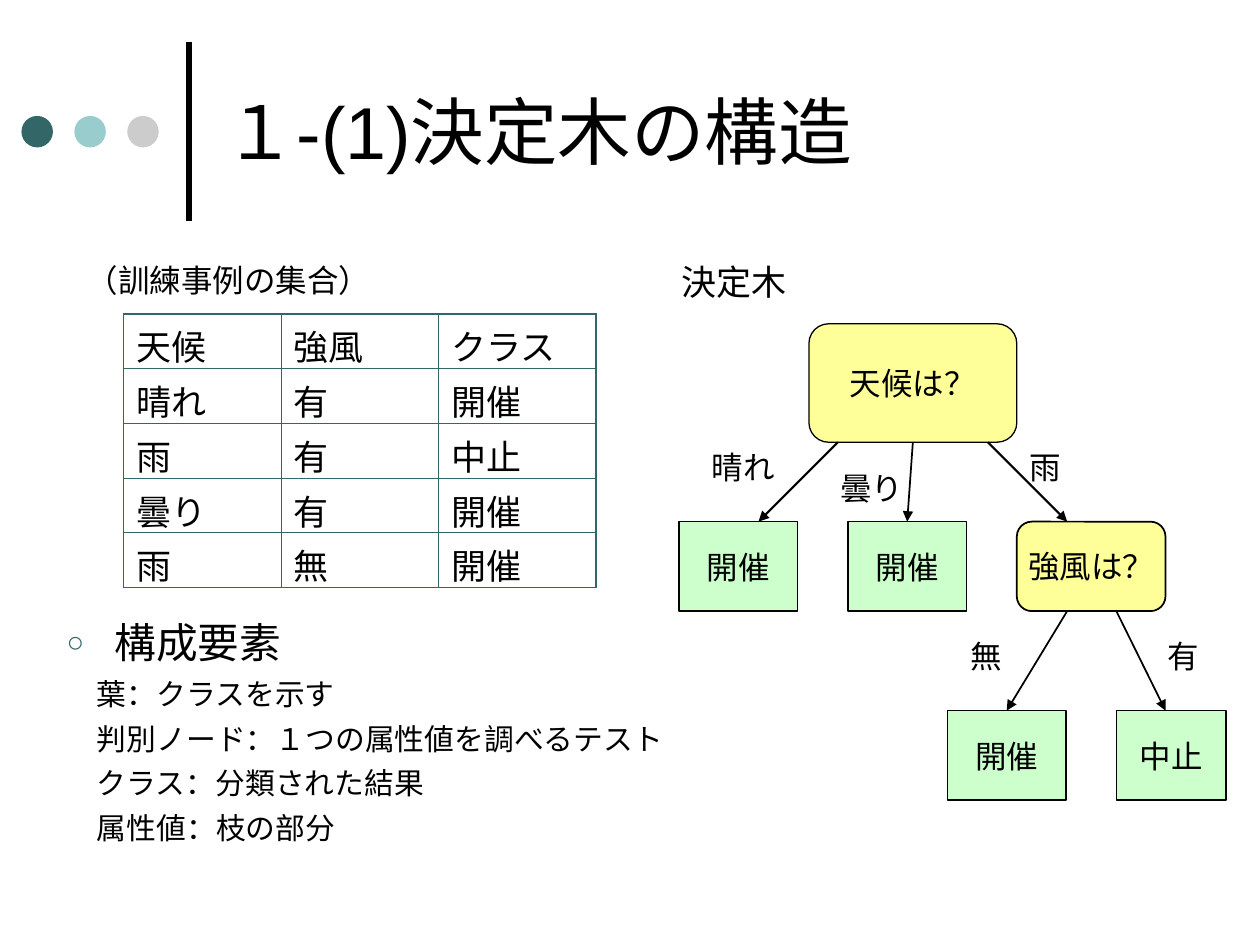
from lxml import etree
from pptx import Presentation
from pptx.dml.color import RGBColor
from pptx.enum.shapes import MSO_CONNECTOR, MSO_SHAPE
from pptx.enum.text import MSO_ANCHOR, MSO_AUTO_SIZE, PP_ALIGN
from pptx.oxml.ns import qn
from pptx.util import Inches, Pt

COLORS = {
    "ink": "000000",
    "teal": "336666",
    "aqua": "99CCCC",
    "gray": "CCCCCC",
    "question": "FFFF99",
    "leaf": "CCFFCC",
}
FONT = "Arial"
TITLE_ONLY = 5
BOTTOM, TOP = 2, 0


def rgb(name):
    return RGBColor.from_string(COLORS[name])


def write(para, text, size=18, color="ink", align=PP_ALIGN.LEFT, before=0):
    para.alignment = align
    para.space_before = Pt(before)
    span = para.add_run()
    span.text = text
    span.font.name = FONT
    span.font.size = Pt(size)
    span.font.color.rgb = rgb(color)


def indent(para, left, first=0):
    props = para._p.get_or_add_pPr()
    props.set("marL", str(Inches(left)))
    props.set("indent", str(Inches(first)))
    return props


def add_bullet(para, char, color, percent):
    props = indent(para, 0.38, -0.38)
    bullet_color = etree.SubElement(props, qn("a:buClr"))
    etree.SubElement(bullet_color, qn("a:srgbClr"), val=COLORS[color])
    etree.SubElement(props, qn("a:buSzPct"), val=str(percent * 1000))
    etree.SubElement(props, qn("a:buFont"), typeface=FONT)
    etree.SubElement(props, qn("a:buChar"), char=char)


def set_borders(cell, widths, color):
    """Draw the cell's sides; widths are points for left, right, top, bottom."""
    props = cell._tc.get_or_add_tcPr()
    for index, (side, width) in enumerate(zip("LRTB", widths)):
        line = etree.Element(qn(f"a:ln{side}"), w=str(Pt(width)))
        fill = etree.SubElement(line, qn("a:solidFill"))
        etree.SubElement(fill, qn("a:srgbClr"), val=COLORS[color])
        props.insert(index, line)


class Page:
    def __init__(self, deck):
        self.slide = deck.slides.add_slide(deck.slide_layouts[TITLE_ONLY])
        self.shapes = self.slide.shapes

    def title(self, text, left, top, width, height):
        box = self.shapes.title
        box.left, box.top = Inches(left), Inches(top)
        box.width, box.height = Inches(width), Inches(height)
        frame = box.text_frame
        frame.auto_size = MSO_AUTO_SIZE.NONE
        frame.vertical_anchor = MSO_ANCHOR.MIDDLE
        write(frame.paragraphs[0], text, size=42)

    def text_box(self, left, top, width, height, grow=False):
        box = self.shapes.add_textbox(*map(Inches, (left, top, width, height)))
        frame = box.text_frame
        frame.word_wrap = True
        if grow:
            frame.auto_size = MSO_AUTO_SIZE.SHAPE_TO_FIT_TEXT
        return frame

    def label(self, text, left, top, width, height=0.4, **style):
        frame = self.text_box(left, top, width, height, grow=True)
        write(frame.paragraphs[0], text, **style)

    def shape(self, kind, left, top, width, height, fill, line=None):
        shape = self.shapes.add_shape(kind, *map(Inches, (left, top, width, height)))
        shape.shadow.inherit = False
        shape.fill.solid()
        shape.fill.fore_color.rgb = rgb(fill)
        if line:
            shape.line.color.rgb = rgb("ink")
            shape.line.width = Pt(line)
        else:
            shape.line.fill.background()
        return shape

    def node(self, text, left, top, width, height=0.71, question=False, line=0.75):
        kind = MSO_SHAPE.ROUNDED_RECTANGLE if question else MSO_SHAPE.RECTANGLE
        fill = "question" if question else "leaf"
        shape = self.shape(kind, left, top, width, height, fill, line)
        frame = shape.text_frame
        frame.word_wrap = False
        frame.vertical_anchor = MSO_ANCHOR.MIDDLE
        write(frame.paragraphs[0], text, align=PP_ALIGN.CENTER)
        return shape

    def line(self, start, end, width, arrow=False):
        line = self.shapes.add_connector(
            MSO_CONNECTOR.STRAIGHT, *map(Inches, (*start, *end)))
        line.line.color.rgb = rgb("ink")
        line.line.width = Pt(width)
        if arrow:
            etree.SubElement(line.line._get_or_add_ln(), qn("a:tailEnd"), type="triangle")
        etree.SubElement(line._element.spPr, qn("a:effectLst"))
        return line

    def table(self, rows, left, top, column_width, row_height):
        last_row, last_column = len(rows) - 1, len(rows[0]) - 1
        table = self.shapes.add_table(
            len(rows), len(rows[0]), Inches(left), Inches(top),
            Inches(column_width * len(rows[0])), Inches(row_height * len(rows))).table
        table.first_row = table.horz_banding = False
        for column in table.columns:
            column.width = Inches(column_width)
        for r, values in enumerate(rows):
            table.rows[r].height = Inches(row_height)
            for c, value in enumerate(values):
                cell = table.cell(r, c)
                cell.fill.background()
                outer = (c == 0, c == last_column, r == 0, r == last_row)
                set_borders(cell, [1.08 if edge else 0.45 for edge in outer], "teal")
                write(cell.text_frame.paragraphs[0], value, size=20, before=5)


def add_heading(page):
    page.line((1.5, 1.75), (1.5, 0.33), 3)
    for index, color in enumerate(("teal", "aqua", "gray")):
        page.shape(MSO_SHAPE.OVAL, 0.17 + 0.42 * index, 0.92, 0.25, 0.25, color)
    page.title("１-(1)決定木の構造", 1.67, 0.21, 6.01, 1.65)


def add_components(page):
    frame = page.text_box(0.43, 4.85, 5.35, 2.28)
    heading = frame.paragraphs[0]
    write(heading, "構成要素", size=23.8, before=7)
    add_bullet(heading, "○", "teal", 70)
    for text in ("葉：クラスを示す", "判別ノード：１つの属性値を調べるテスト",
                 "クラス：分類された結果", "属性値：枝の部分"):
        para = frame.add_paragraph()
        write(para, text, size=17, before=5)
        indent(para, 0.24)


def add_examples(page):
    page.label("（訓練事例の集合）", 0.59, 2.02, 2.54)
    page.table([
        ("天候", "強風", "クラス"),
        ("晴れ", "有", "開催"),
        ("雨", "有", "中止"),
        ("曇り", "有", "開催"),
        ("雨", "無", "開催"),
    ], 0.98, 2.49, 1.25, 0.435)


def add_tree(page):
    page.label("決定木", 5.31, 2.02, 4.02, 0.44, size=20)
    weather = page.node("天候は？", 6.42, 2.57, 1.65, 0.94, question=True)
    page.node("強風は？", 8.07, 4.14, 1.18, question=True, line=1)
    page.node("開催", 5.39, 4.14, 0.94)
    cloudy_leaf = page.node("開催", 6.73, 4.14, 0.94)
    calm_leaf = page.node("開催", 7.52, 5.64, 0.94)
    page.node("中止", 8.86, 5.64, 0.87)

    page.line((6.65, 3.51), (6.02, 4.14), 1.25, arrow=True)
    page.line((7.84, 3.51), (8.47, 4.14), 1.25, arrow=True)
    cloudy = page.line((7.2, 3.51), (7.2, 4.14), 1, arrow=True)
    cloudy.begin_connect(weather, BOTTOM)
    cloudy.end_connect(cloudy_leaf, TOP)
    calm = page.line((8.47, 4.85), (7.99, 5.64), 1, arrow=True)
    calm.end_connect(calm_leaf, TOP)
    page.line((8.86, 4.85), (9.25, 5.64), 1, arrow=True)

    for text, left, top, width in (
            ("晴れ", 5.55, 3.51, 1.02), ("曇り", 6.57, 3.67, 0.94),
            ("雨", 8.07, 3.51, 0.87), ("無", 7.6, 5.01, 0.55),
            ("有", 9.17, 5.01, 0.55)):
        page.label(text, left, top, width, before=11.2)


def main():
    deck = Presentation()
    deck.slide_width, deck.slide_height = Inches(10), Inches(7.5)
    page = Page(deck)
    add_heading(page)
    add_components(page)
    add_examples(page)
    add_tree(page)
    deck.save("out.pptx")


if __name__ == "__main__":
    main()
